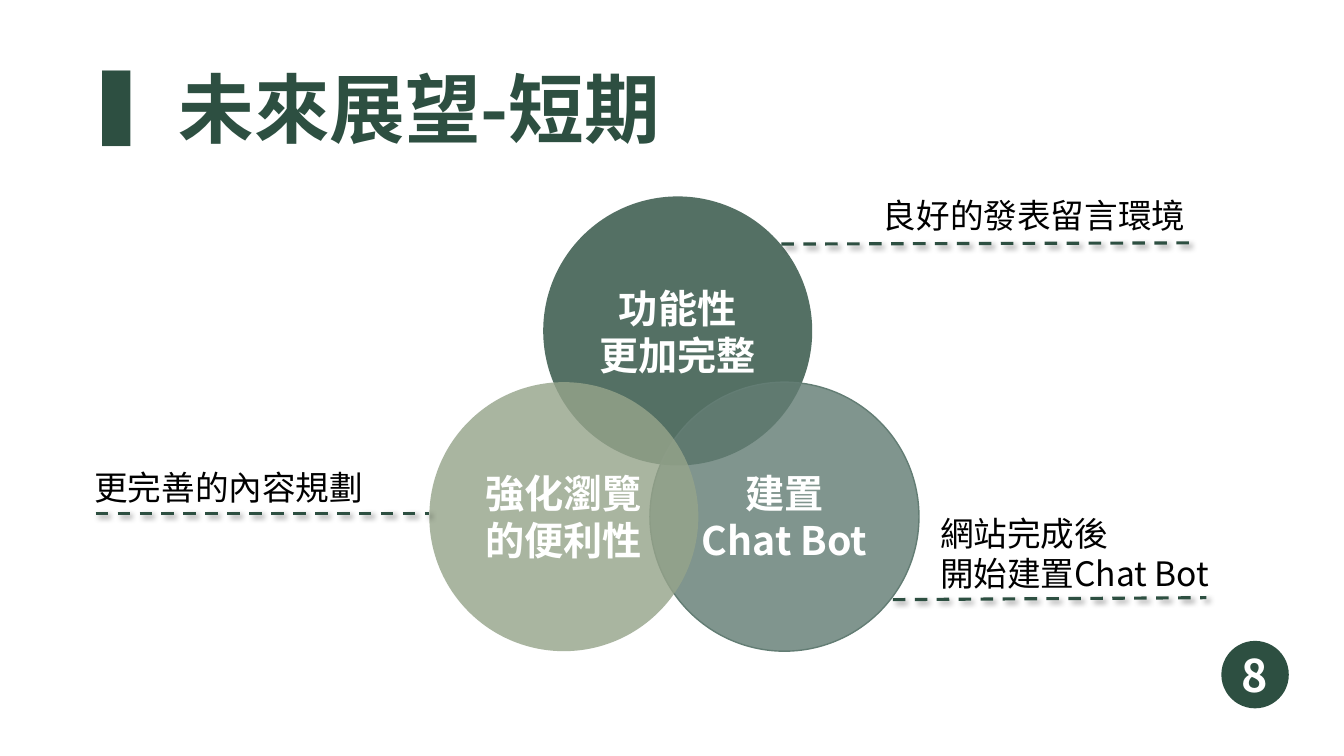
"""Build the short-term outlook slide with three overlapping circles and callouts."""
from dataclasses import dataclass

from lxml import etree
from pptx import Presentation
from pptx import util as u
from pptx.dml.color import RGBColor
from pptx.enum import dml, shapes, text
from pptx.oxml import ns


@dataclass(frozen=True)
class Theme:
    font: str = "Noto Sans CJK SC"
    dark: str = "2D4F41"
    slate: str = "637D74"
    sage: str = "96A48B"
    white: str = "FFFFFF"
    black: str = "000000"
    title_size: int = 54
    badge_size: int = 32
    circle_size: int = 28
    note_size: int = 24
    circle_opacity: int = 81
    shadow_opacity: int = 40


THEME = Theme()
TITLE = ("▍未來展望-短期", (2.34, 1.02, 29.21, 3.68))
BADGE = ("8", (30.78, 16.15, 1.7, 1.7))
DIAMETER = 6.78
CIRCLES = [
    (["功能性", "更加完整"], (13.69, 4.95), THEME.dark, None),
    (["建置", "Chat Bot"], (16.38, 9.63), THEME.slate, THEME.slate),
    (["強化瀏覽的便利性"], (10.82, 9.63), THEME.sage, None),
]
CALLOUTS = [
    (["良好的發表留言環境"], (22, 4.78, 8.84, 1.27), (19.69, 6.15, 30, 6.12)),
    (["網站完成後", "開始建置Chat Bot"], (23.44, 12.8, 7.8, 2.31), (22.5, 15.11, 30.4, 15.06)),
    (["更完善的內容規劃"], (2.13, 11.63, 8.71, 1.27), (2.41, 12.93, 10.8, 12.93)),
]


def lengths(values):
    return [u.Cm(value) for value in values]


def color(value):
    return RGBColor.from_string(value)


def add_child(parent, tag, **attributes):
    values = {name: str(value) for name, value in attributes.items()}
    return etree.SubElement(parent, ns.qn(tag), values)


def write(box, lines, *, size, ink, bold=False, align=text.PP_ALIGN.LEFT,
          anchor=text.MSO_ANCHOR.MIDDLE, spacing=1.0):
    frame = box.text_frame
    frame.word_wrap = True
    frame.auto_size = text.MSO_AUTO_SIZE.NONE
    frame.vertical_anchor = anchor
    frame.text = "\n".join(lines)
    for para in frame.paragraphs:
        para.alignment = align
        para.line_spacing = spacing
        for span in para.runs:
            span.font.name = THEME.font
            span.font.size = u.Pt(size)
            span.font.bold = bold
            span.font.color.rgb = color(ink)
            add_child(span.font._element, "a:ea", typeface=THEME.font)


def add_circle(page, lines, area, fill, size, outline=None, opacity=100):
    circle = page.shapes.add_shape(shapes.MSO_SHAPE.OVAL, *lengths(area))
    circle.shadow.inherit = False
    circle.fill.solid()
    circle.fill.fore_color.rgb = color(fill)
    if opacity < 100:
        swatch = circle._element.spPr.find(".//" + ns.qn("a:srgbClr"))
        add_child(swatch, "a:alpha", val=opacity * 1000)
    if outline:
        circle.line.color.rgb = color(outline)
        circle.line.width = u.Pt(1)
    else:
        circle.line.fill.background()
    write(circle, lines, size=size, ink=THEME.white, bold=True, align=text.PP_ALIGN.CENTER)


def add_leader(page, ends):
    leader = page.shapes.add_connector(shapes.MSO_CONNECTOR.STRAIGHT, *lengths(ends))
    leader.line.color.rgb = color(THEME.dark)
    leader.line.width = u.Pt(2.25)
    leader.line.dash_style = dml.MSO_LINE.DASH
    effects = add_child(leader._element.spPr, "a:effectLst")
    shadow = add_child(effects, "a:outerShdw", blurRad=u.Pt(4), dist=u.Pt(3),
                       dir=45 * 60000, algn="tl", rotWithShape=0)
    tint = add_child(shadow, "a:srgbClr", val=THEME.black)
    add_child(tint, "a:alpha", val=THEME.shadow_opacity * 1000)


def main():
    deck = Presentation()
    deck.slide_width, deck.slide_height = lengths((33.87, 19.05))
    page = deck.slides.add_slide(deck.slide_layouts[5])

    heading, area = TITLE
    title = page.shapes.title
    title.left, title.top, title.width, title.height = lengths(area)
    write(title, [heading], size=THEME.title_size, ink=THEME.dark, bold=True, spacing=0.9)

    number, area = BADGE
    add_circle(page, [number], area, THEME.dark, THEME.badge_size)
    for lines, corner, fill, outline in CIRCLES:
        add_circle(page, lines, (*corner, DIAMETER, DIAMETER), fill, THEME.circle_size,
                   outline, THEME.circle_opacity)
    for lines, area, ends in CALLOUTS:
        add_leader(page, ends)
        note = page.shapes.add_textbox(*lengths(area))
        write(note, lines, size=THEME.note_size, ink=THEME.black, anchor=text.MSO_ANCHOR.TOP)

    deck.save("out.pptx")


if __name__ == "__main__":
    main()
